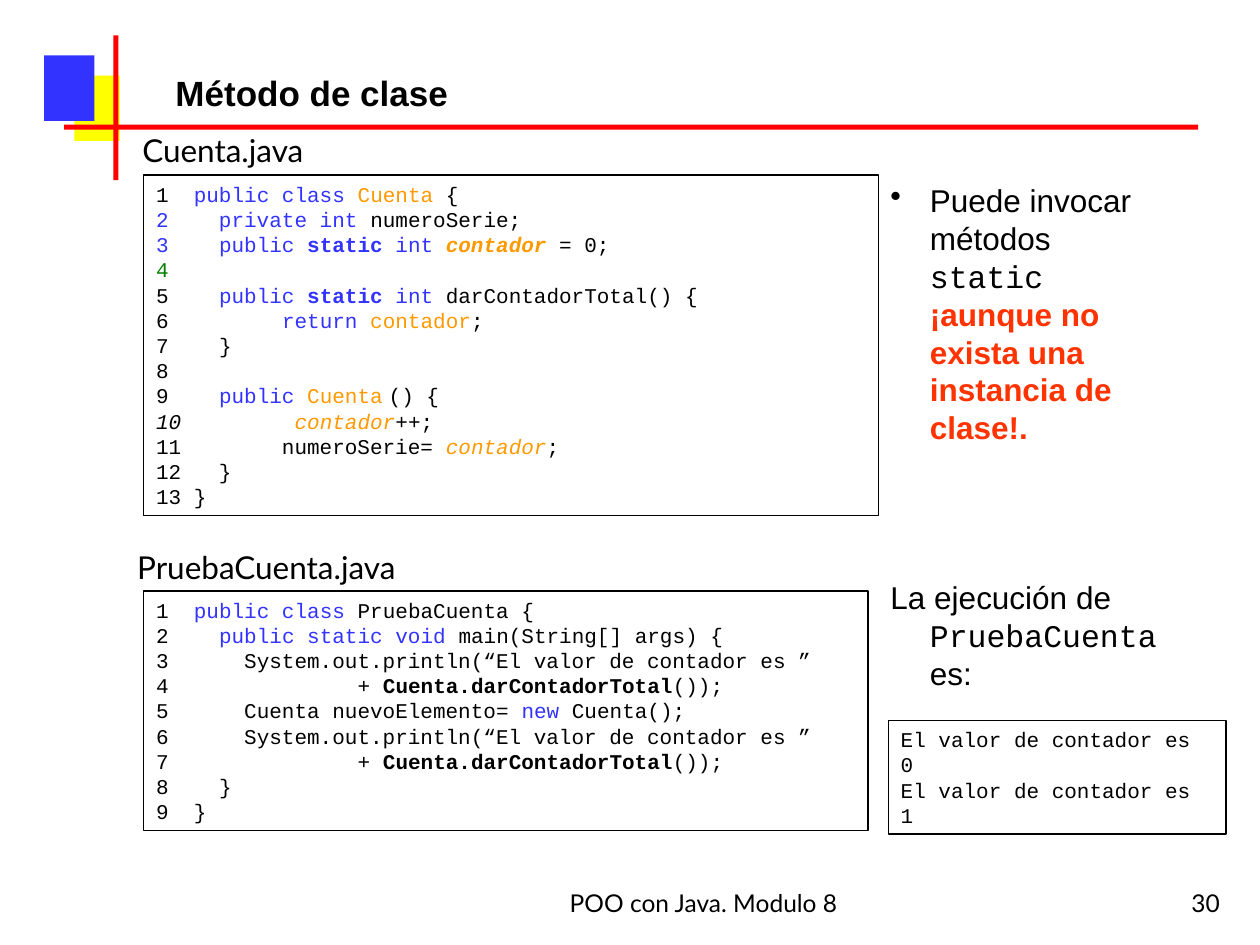
from lxml import etree
from pptx import Presentation, util as u
from pptx.dml.color import RGBColor
from pptx.enum import shapes, text
from pptx.oxml.ns import qn

Pt = u.Pt


class Theme:
    ink, blue, orange = "000000", "3333FF", "FF9900"
    green, alert, red, yellow = "008000", "FF3300", "FF0000", "FFFF00"
    sans, mono, label = "Arial", "Courier New", "Lato"
    title, body, foot, code = 20, 18, 14, 12


# Run styles: (text, marks), each mark a letter
MARKS = {"k": Theme.blue, "n": Theme.orange, "g": Theme.green, "r": Theme.alert}
FACES = {"m": Theme.mono, "s": Theme.sans}

# Content: a line is a list of runs; a leading int is an automatic number
ACCOUNT = [
    ["1  ", ("public class ", "k"), ("Cuenta", "n"), " {"],
    [("2    private int", "k"), " numeroSerie;"],
    [3, ("public ", "k"), ("static ", "kb"), ("int ", "k"),
     ("contador", "nbi"), " = 0;"],
    [("4", "g")],
    ["5    ", ("public ", "k"), ("static ", "kb"), ("int", "k"),
     " darContadorTotal() {"],
    ["6         ", ("return ", "k"), ("contador", "n"), ";"],
    [7, "}"],
    ["8"],
    ["9    ", ("public ", "k"), ("Cuenta", "n"), (" ", "ns"), "() {"],
    [("10         ", "i"), ("contador", "ni"), "++;"],
    ["11        numeroSerie= ", ("contador", "ni"), ";"],
    ["12   }"],
    ["13 }"],
]
CALL = ("Cuenta.darContadorTotal", "b")
TEST = [
    ["1  ", ("public class", "k"), " PruebaCuenta {"],
    ["2    ", ("public static void", "k"), " main(String[] args) {"],
    ["3      System.out.println(“El valor de contador es ”"],
    ["4               + ", CALL, "());"],
    ["5      Cuenta nuevoElemento= ", ("new", "k"), " Cuenta();"],
    ["6      System.out.println(“El valor de contador es ”"],
    ["7               + ", CALL, "());"],
    ["8    }"],
    ["9  }"],
]
OUTPUT = [[f"El valor de contador es {n}"] for n in (0, 1)]
NOTE = [["•", "Puede invocar métodos ", ("static ", "m"),
         ("¡aunque no exista una instancia de clase!.", "rb")]]
RUN = [["La ejecución de ", ("PruebaCuenta ", "m"), "es:"]]

# Corner blocks and rules: left, top, width, height, colour
DECOR = [
    (42.5, 43.2, 25.9, 37.4, Theme.yellow),
    (25.2, 31.7, 28.8, 37.4, Theme.blue),
    (64.8, 20.2, 2.9, 82.8, Theme.red),
    (36.7, 71.3, 648, 2.9, Theme.red),
]

deck = Presentation()
deck.slide_width, deck.slide_height = Pt(720), Pt(540)
slide = deck.slides.add_slide(deck.slide_layouts[6])


def rect(x, y, w, h, fill=None):
    box = slide.shapes.add_shape(shapes.MSO_SHAPE.RECTANGLE,
                                 Pt(x), Pt(y), Pt(w), Pt(h))
    box.shadow.inherit = False
    if fill:
        box.fill.solid()
        box.fill.fore_color.rgb = RGBColor.from_string(fill)
        box.line.fill.background()
    else:
        box.fill.background()
        box.line.color.rgb = RGBColor.from_string(Theme.ink)
        box.line.width = Pt(0.75)
    return box


def mark(para, sign):
    """Give the paragraph a bullet, or a number when sign is an int."""
    props = para._p.get_or_add_pPr()
    if isinstance(sign, int):
        etree.SubElement(props, qn("a:buAutoNum"), type="arabicPlain",
                         startAt=str(sign))
    else:
        etree.SubElement(props, qn("a:buChar"), char=sign)


def write(box, lines, size, face, left=0, hang=0, align="LEFT", wrap=True,
          anchor="TOP", grow=True):
    frame = box.text_frame
    frame.word_wrap = wrap
    frame.vertical_anchor = text.MSO_ANCHOR[anchor]
    if grow:
        frame.auto_size = text.MSO_AUTO_SIZE.SHAPE_TO_FIT_TEXT
    for i, line in enumerate(lines):
        para = frame.add_paragraph() if i else frame.paragraphs[0]
        para.alignment = text.PP_ALIGN[align]
        if left:
            props = para._p.get_or_add_pPr()
            props.set("marL", str(Pt(left)))
            props.set("indent", str(-Pt(hang)))
        if isinstance(line[0], int) or line[0] == "•":
            mark(para, line[0])
            line = line[1:]
        para.font.size = Pt(size)
        for part in line:
            words, marks = (part, "") if isinstance(part, str) else part
            run = para.add_run()
            run.text = words
            font = run.font
            font.size = Pt(size)
            font.name = next((FACES[m] for m in marks if m in FACES), face)
            tint = next((MARKS[m] for m in marks if m in MARKS), Theme.ink)
            font.color.rgb = RGBColor.from_string(tint)
            if "b" in marks:
                font.bold = True
            if "i" in marks:
                font.italic = True


def label(x, y, w, h, lines, size, face, **opts):
    box = slide.shapes.add_textbox(Pt(x), Pt(y), Pt(w), Pt(h))
    write(box, lines, size, face, **opts)


# Decoration
for block in DECOR:
    rect(*block)

# Footer and page number
for x, w, words, align in ((288, 228.2, "POO con Java. Modulo 8", "CENTER"),
                           (554.4, 149.8, "30", "RIGHT")):
    label(x, 491.8, w, 36, [[words]], Theme.foot, Theme.label,
          align=align, anchor="BOTTOM", grow=False)

# Title
label(48.2, 37.4, 360, 31.7, [[("Método de clase", "b")]],
      Theme.title, Theme.sans, left=67.5, hang=22.5)

# Side notes
for y, w, h, lines in ((100.1, 169.9, 158.4, NOTE), (326.9, 187.2, 72, RUN)):
    label(501.8, y, w, h, lines, Theme.body, Theme.sans, left=22.5, hang=22.5)

# Framed code and console output
for x, y, w, h, lines, hang in ((82.1, 337.7, 414, 136.8, TEST, 0),
                                (507.6, 411.8, 193, 64.8, OUTPUT, 0),
                                (82.1, 100.1, 419.8, 194.4, ACCOUNT, 36)):
    write(rect(x, y, w, h), lines, Theme.code, Theme.mono,
          left=hang, hang=hang)

# File names
for x, y, w, name in ((74.2, 71.3, 113.8, "Cuenta.java"),
                      (71.3, 309.6, 174.2, "PruebaCuenta.java")):
    label(x, y, w, 28.8, [[name]], Theme.body, Theme.label, wrap=False)

deck.save("out.pptx")
